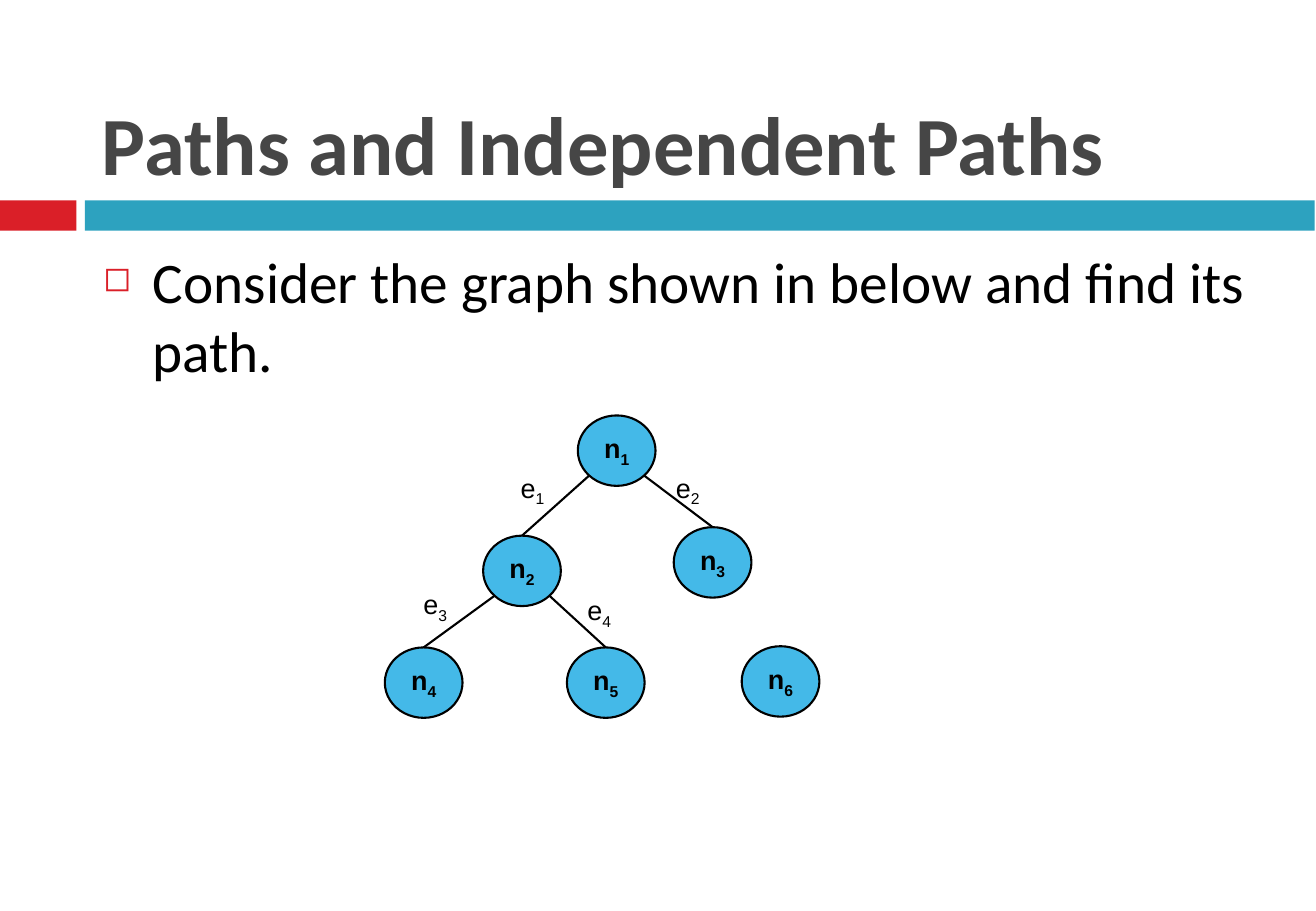
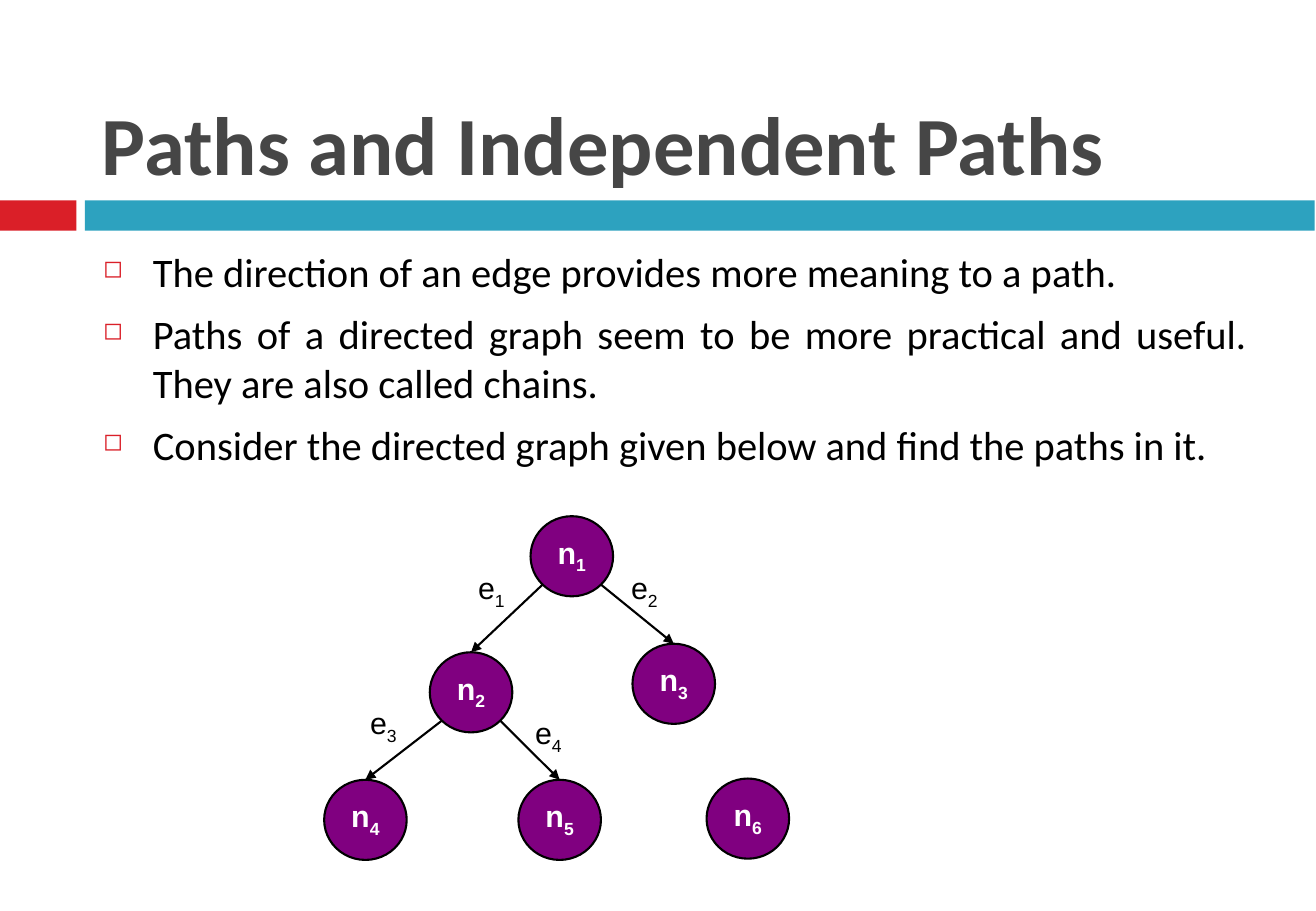
"""Build two slides on paths in undirected and directed graphs."""
import lxml.etree
import pptx
import pptx.dml.color
import pptx.enum.shapes
import pptx.enum.text
import pptx.oxml.ns
import pptx.util

Inches = pptx.util.Inches
Pt = pptx.util.Pt
SHAPES = pptx.enum.shapes.MSO_SHAPE
ALIGN = pptx.enum.text.PP_ALIGN
ANCHOR = pptx.enum.text.MSO_ANCHOR

RED, TEAL, GREY, BLACK, WHITE = "DA1F28", "2DA2BF", "464646", "000000", "FFFFFF"
BAND_TOP, BAND_HEIGHT = 1.65, 0.25
BODY_INSETS = (0.12, 0.06)
GRAPH_INSETS = (0.1, 0.05)
LINE_WIDTH = 1.25
DIAGONAL = 0.5 ** 0.5 / 2

TITLE_FONT = {"name": "Calibri", "size": Pt(49), "bold": True}
EDGES = {"1": ("1", "2"), "2": ("1", "3"), "3": ("2", "4"), "4": ("2", "5")}

UNDIRECTED = {
    "node_size": (0.64, 0.58), "label_size": (0.53, 0.5), "points": 16,
    "fill": "44B9E8", "ink": BLACK, "directed": False,
    "nodes": {"1": (4.76, 3.42), "2": (3.98, 4.41), "3": (5.55, 4.34),
              "4": (3.17, 5.33), "5": (4.67, 5.33), "6": (6.11, 5.32)},
    "labels": {"1": (4.19, 3.83), "2": (5.47, 3.83), "3": (3.39, 4.79), "4": (4.74, 4.84)},
}
DIRECTED = {
    "node_size": (0.68, 0.66), "label_size": (0.56, 0.56), "points": 18,
    "fill": "800080", "ink": WHITE, "directed": True,
    "nodes": {"1": (4.37, 4.25), "2": (3.54, 5.37), "3": (5.21, 5.3),
              "4": (2.67, 6.42), "5": (4.27, 6.42), "6": (5.82, 6.41)},
    "labels": {"1": (3.84, 4.64), "2": (5.1, 4.64), "3": (2.95, 5.75), "4": (4.31, 5.83)},
}


def rgb(value):
    return pptx.dml.color.RGBColor.from_string(value)


def apply(target, values):
    for name, value in values.items():
        setattr(target, name, value)


def add_xml(parent, tag, **attributes):
    return lxml.etree.SubElement(parent, pptx.oxml.ns.qn(tag), attributes)


def set_frame(frame, insets, anchor=ANCHOR.TOP):
    across, down = map(Inches, insets)
    apply(frame, {"word_wrap": True, "vertical_anchor": anchor,
                  "margin_left": across, "margin_right": across,
                  "margin_top": down, "margin_bottom": down})


def add_run(paragraph, text, font, color):
    run = paragraph.add_run()
    run.text = text
    apply(run.font, font)
    run.font.color.rgb = rgb(color)
    return run


def add_text_frame(slide, box, insets, anchor=ANCHOR.TOP):
    frame = slide.shapes.add_textbox(*map(Inches, box)).text_frame
    set_frame(frame, insets, anchor)
    return frame


def add_filled(slide, outline, box, color):
    shape = slide.shapes.add_shape(outline, *map(Inches, box))
    shape.shadow.inherit = False
    shape.fill.solid()
    shape.fill.fore_color.rgb = rgb(color)
    shape.line.fill.background()
    return shape


def add_heading(slide, title):
    for left, width, color in ((0, 0.63, RED), (0.7, 10.13, TEAL)):
        add_filled(slide, SHAPES.RECTANGLE, (left, BAND_TOP, width, BAND_HEIGHT), color)
    frame = add_text_frame(slide, (0.72, 0.17, 9.66, 1.47), BODY_INSETS, ANCHOR.BOTTOM)
    add_run(frame.paragraphs[0], title, TITLE_FONT, GREY)


def add_bullet(paragraph):
    properties = paragraph._p.get_or_add_pPr()
    apply_indent = {"marL": Inches(0.41), "indent": Inches(-0.41)}
    for name, value in apply_indent.items():
        properties.set(name, str(value))
    add_xml(add_xml(properties, "a:buClr"), "a:srgbClr", val=RED)
    add_xml(properties, "a:buSzPct", val="60000")
    add_xml(properties, "a:buChar", char="◻")


def add_body(slide, points, size, alignment):
    frame = add_text_frame(slide, (0.73, 1.97, 9.66, 4.73), BODY_INSETS)
    for index, point in enumerate(points):
        paragraph = frame.add_paragraph() if index else frame.paragraphs[0]
        add_bullet(paragraph)
        apply(paragraph, {"alignment": alignment, "space_before": Pt(8.2 if index else 0)})
        add_run(paragraph, point, {"name": "Calibri", "size": Pt(size)}, BLACK)


def add_symbol(frame, letter, number, points, color, bold=False):
    font = {"name": "Arial", "size": Pt(points), "bold": bold}
    paragraph = frame.paragraphs[0]
    add_run(paragraph, letter, font, color)
    subscript = add_run(paragraph, number, font, color)
    subscript.font._element.set("baseline", "-25000")


def add_node(slide, number, graph):
    box = (*graph["nodes"][number], *graph["node_size"])
    node = add_filled(slide, SHAPES.OVAL, box, graph["fill"])
    node.line.color.rgb = rgb(BLACK)
    node.line.width = Pt(LINE_WIDTH)
    set_frame(node.text_frame, GRAPH_INSETS)
    node.text_frame.paragraphs[0].alignment = ALIGN.CENTER
    add_symbol(node.text_frame, "n", number, graph["points"], graph["ink"], bold=True)
    return node


def add_edge(slide, parent, child, directed):
    side = -1 if child.left < parent.left else 1
    start_x = int(parent.left + parent.width * (0.5 + side * DIAGONAL))
    start_y = int(parent.top + parent.height * (0.5 + DIAGONAL))
    edge = slide.shapes.add_connector(
        pptx.enum.shapes.MSO_CONNECTOR.STRAIGHT, start_x, start_y,
        child.left + child.width // 2, child.top)
    edge.end_connect(child, 0)
    edge.line.color.rgb = rgb(BLACK)
    edge.line.width = Pt(LINE_WIDTH)
    if directed:
        add_xml(edge.line._get_or_add_ln(), "a:tailEnd", type="triangle")
    add_xml(edge._element.spPr, "a:effectLst")


def add_graph(slide, graph):
    for number, corner in graph["labels"].items():
        frame = add_text_frame(slide, (*corner, *graph["label_size"]), GRAPH_INSETS)
        add_symbol(frame, "e", number, graph["points"], BLACK)
    nodes = {number: add_node(slide, number, graph) for number in graph["nodes"]}
    for parent, child in EDGES.values():
        add_edge(slide, nodes[parent], nodes[child], graph["directed"])


def main():
    deck = pptx.Presentation()
    apply(deck, {"slide_width": Inches(10.84), "slide_height": Inches(7.5)})
    contents = (
        (["Consider the graph shown in below and find its path."],
         34, ALIGN.LEFT, UNDIRECTED),
        (["The direction of an edge provides more meaning to a path.",
          "Paths of a directed graph seem to be more practical and useful. "
          "They are also called chains.",
          "Consider the directed graph given below and find the paths in it."],
         24, ALIGN.JUSTIFY, DIRECTED),
    )
    for points, size, alignment, graph in contents:
        slide = deck.slides.add_slide(deck.slide_layouts[6])
        add_heading(slide, "Paths and Independent Paths")
        add_body(slide, points, size, alignment)
        add_graph(slide, graph)
    deck.save("out.pptx")


if __name__ == "__main__":
    main()
